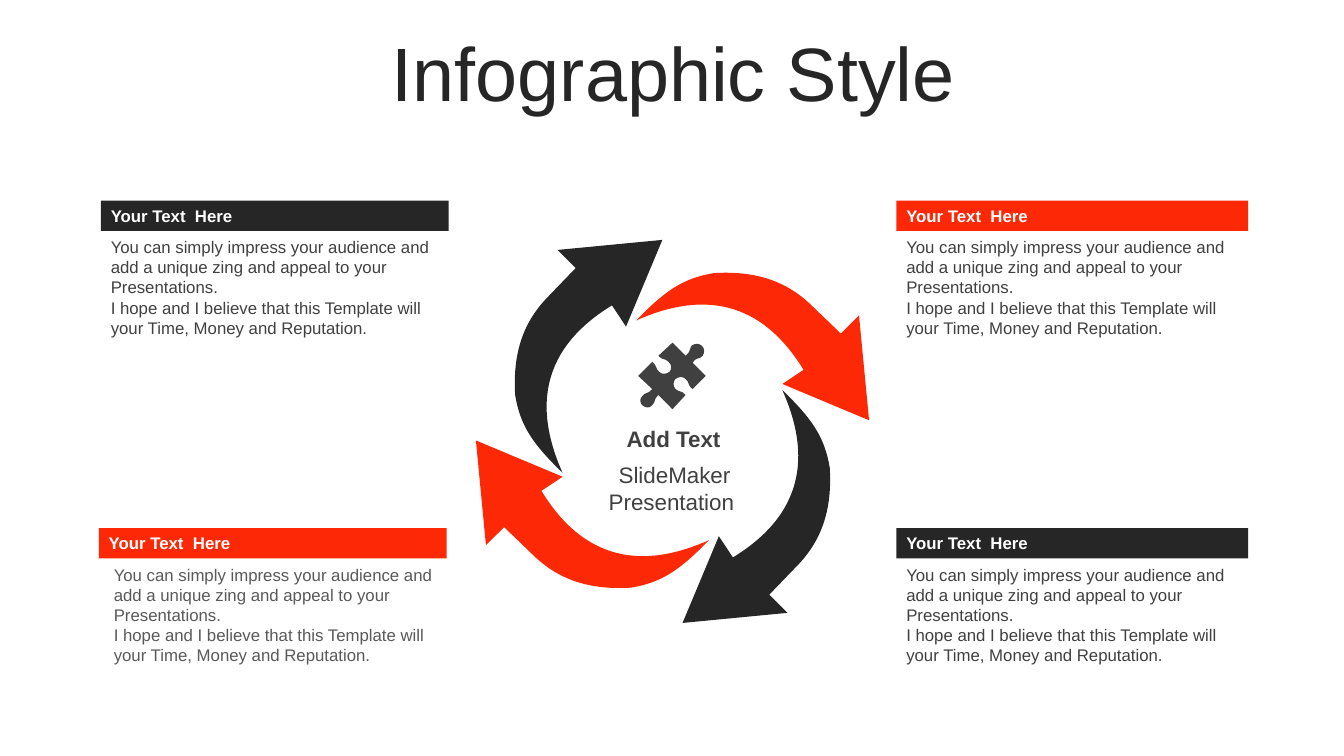
from pptx import Presentation
from pptx import util as u
from pptx.dml.color import RGBColor
from pptx.enum import shapes, text
from pptx.oxml import ns
from lxml import etree

RED, DARK, GRAY, LIGHT_GRAY = "FD2906", "262626", "404040", "595959"
TITLE = "Infographic Style"
HEADING = "Your Text  Here"
BODY = [
    "You can simply impress your audience and add a unique zing and appeal to your Presentations.",
    "I hope and I believe that this Template will your Time, Money and Reputation.",
]
CENTER_TEXTS = [
    ("Add Text", (5.87, 4.17, 1.62, 0.37), True),
    ("SlideMaker Presentation ", (5.88, 4.53, 1.62, 0.64), False),
]
PANELS = [
    (8.89, 8.89, 1.99, 3.49, RED, GRAY),
    (8.89, 8.89, 5.24, 3.49, DARK, GRAY),
    (1.0, 1.0, 1.99, 3.45, DARK, GRAY),
    (0.98, 1.03, 5.24, 3.45, RED, LIGHT_GRAY),
]
HEADING_HEIGHT, BODY_DROP, BODY_HEIGHT = 0.3, 0.31, 1.11

# Each step is a line end (x, y) or a cubic curve (x1, y1, x2, y2, x, y).
ARROW_CENTER = (6.67, 4.27)
ARROW = [
    (8.52, 3.13), (8.62, 4.17), (7.76, 3.81), (7.97, 3.67),
    (7.5, 2.9, 6.87, 2.93, 6.31, 3.18),
    (6.6, 2.88, 6.78, 2.76, 7.08, 2.71),
    (7.56, 2.68, 7.85, 2.83, 8.07, 3.05),
    (8.34, 3.31),
]
ARROW_TURNS = [(RED, 4.27), (DARK, 4.23), (RED, 4.27), (DARK, 4.33)]
PUZZLE = [
    (6.96, 3.43), (6.99, 3.45, 6.99, 3.5, 6.97, 3.53),
    (6.94, 3.57, 6.9, 3.54, 6.87, 3.6), (7, 3.73), (6.87, 3.86),
    (6.82, 3.83, 6.84, 3.79, 6.8, 3.76), (6.77, 3.73, 6.73, 3.74, 6.7, 3.76),
    (6.68, 3.78, 6.67, 3.83, 6.7, 3.86), (6.75, 3.9, 6.76, 3.87, 6.8, 3.92),
    (6.67, 4.06), (6.53, 3.92), (6.48, 3.96, 6.51, 3.98, 6.47, 4.02),
    (6.44, 4.06, 6.39, 4.04, 6.37, 4.02), (6.35, 4, 6.34, 3.96, 6.37, 3.93),
    (6.4, 3.89, 6.43, 3.91, 6.47, 3.86), (6.33, 3.73), (6.47, 3.59),
    (6.52, 3.63, 6.5, 3.66, 6.54, 3.69), (6.57, 3.72, 6.61, 3.71, 6.64, 3.69),
    (6.66, 3.67, 6.67, 3.62, 6.63, 3.59), (6.59, 3.55, 6.58, 3.58, 6.53, 3.53),
    (6.67, 3.4), (6.8, 3.53), (6.85, 3.49, 6.83, 3.48, 6.86, 3.43),
    (6.9, 3.4, 6.94, 3.41, 6.96, 3.43),
]


def color(value):
    return RGBColor.from_string(value)


def paint(shape, fill):
    shape.shadow.inherit = False
    shape.fill.solid()
    shape.fill.fore_color.rgb = color(fill)
    shape.line.fill.background()


def write(shape, lines, *, size=12, ink=GRAY, bold=False, align=text.PP_ALIGN.LEFT,
          anchor=text.MSO_ANCHOR.TOP, spacing=1.0):
    frame = shape.text_frame
    frame.word_wrap = True
    frame.vertical_anchor = anchor
    for index, line in enumerate(lines):
        paragraph = frame.add_paragraph() if index else frame.paragraphs[0]
        paragraph.alignment = align
        paragraph.line_spacing = spacing
        run = paragraph.add_run()
        run.text = line
        run.font.name = "Arial"
        run.font.size = u.Pt(size)
        run.font.bold = bold
        run.font.color.rgb = color(ink)


def text_box(slide, at, lines, **style):
    write(slide.shapes.add_textbox(*map(u.Inches, at)), lines, **style)


def pairs(step):
    return list(zip(step[::2], step[1::2]))


def turn(step, center):
    cx, cy = center
    return tuple(v for x, y in pairs(step) for v in (cx - (y - cy), cy + (x - cx)))


def lower(step, distance):
    return tuple(v for x, y in pairs(step) for v in (x, y + distance))


def draw(slide, outline, fill):
    steps = [[(u.Inches(x), u.Inches(y)) for x, y in pairs(step)] for step in outline]
    builder = slide.shapes.build_freeform(*steps[0][-1])
    builder.add_line_segments([step[-1] for step in steps[1:]], close=True)
    outlined = builder.convert_to_shape()
    paint(outlined, fill)
    segments = list(outlined._element.iter(ns.qn("a:lnTo")))
    for segment, step in zip(segments, steps[1:]):
        if len(step) == 1:
            continue
        curve = etree.Element(ns.qn("a:cubicBezTo"))
        for x, y in step:
            etree.SubElement(curve, ns.qn("a:pt"),
                             x=str(x - outlined.left), y=str(y - outlined.top))
        segment.getparent().replace(segment, curve)


def main():
    deck = Presentation()
    deck.slide_width, deck.slide_height = u.Inches(13.33), u.Inches(7.5)
    slide = deck.slides.add_slide(deck.slide_layouts[6])
    centered = text.PP_ALIGN.CENTER
    middle = text.MSO_ANCHOR.MIDDLE

    text_box(slide, (0.35, 0.37, 12.66, 0.79), [TITLE], size=54, ink=DARK,
             align=centered, anchor=middle, spacing=0.9)

    arrow = ARROW
    for fill, center_y in ARROW_TURNS:
        draw(slide, [lower(step, center_y - ARROW_CENTER[1]) for step in arrow], fill)
        arrow = [turn(step, ARROW_CENTER) for step in arrow]

    for words, at, bold in CENTER_TEXTS:
        text_box(slide, at, [words], size=16, bold=bold, align=centered)

    for heading_x, body_x, top, width, fill, ink in PANELS:
        heading = slide.shapes.add_shape(
            shapes.MSO_SHAPE.RECTANGLE,
            *map(u.Inches, (heading_x, top, width, HEADING_HEIGHT)))
        paint(heading, fill)
        write(heading, [HEADING], ink="FFFFFF", bold=True, anchor=middle)
        text_box(slide, (body_x, top + BODY_DROP, width, BODY_HEIGHT), BODY, ink=ink)

    draw(slide, PUZZLE, GRAY)
    deck.save("out.pptx")


if __name__ == "__main__":
    main()
